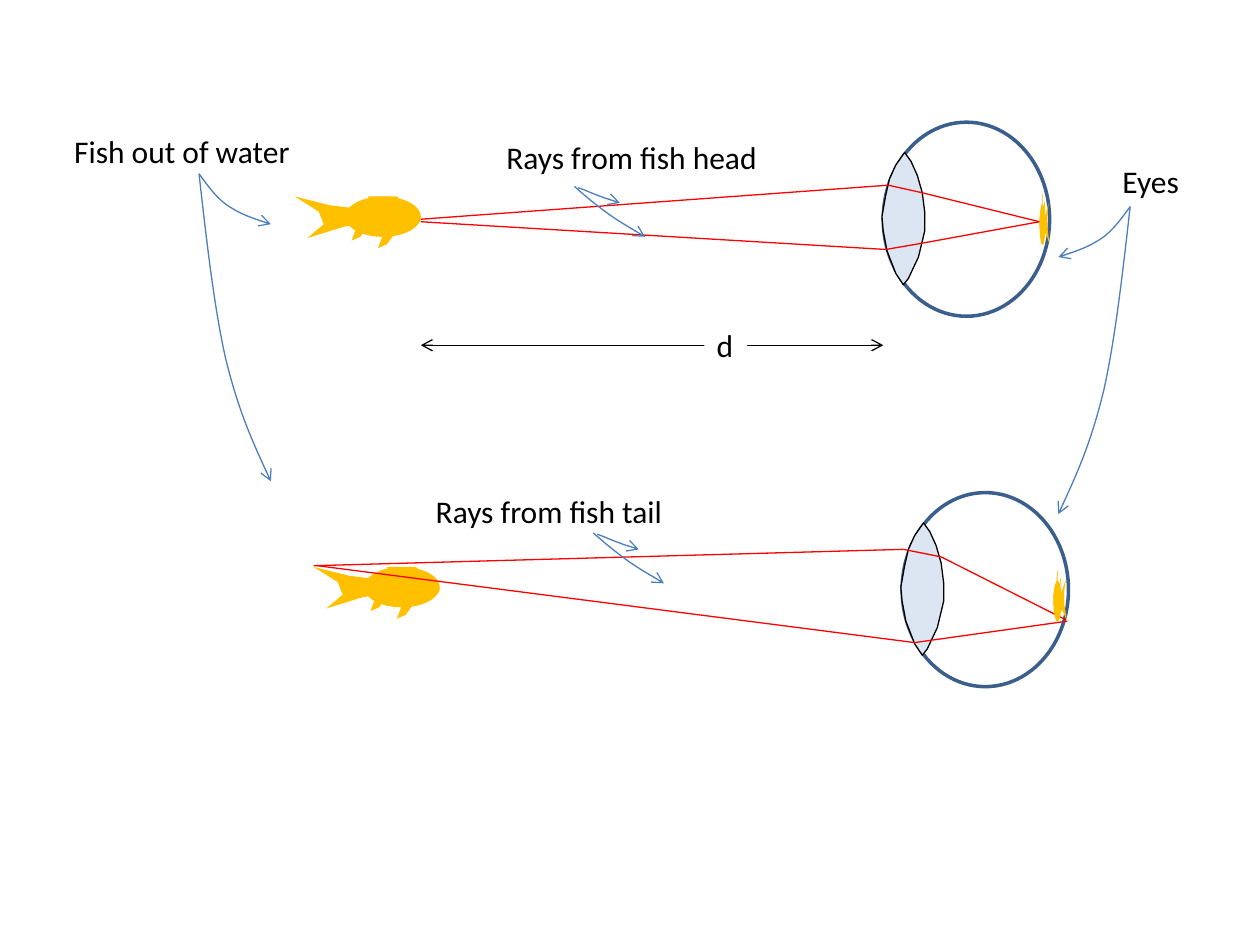
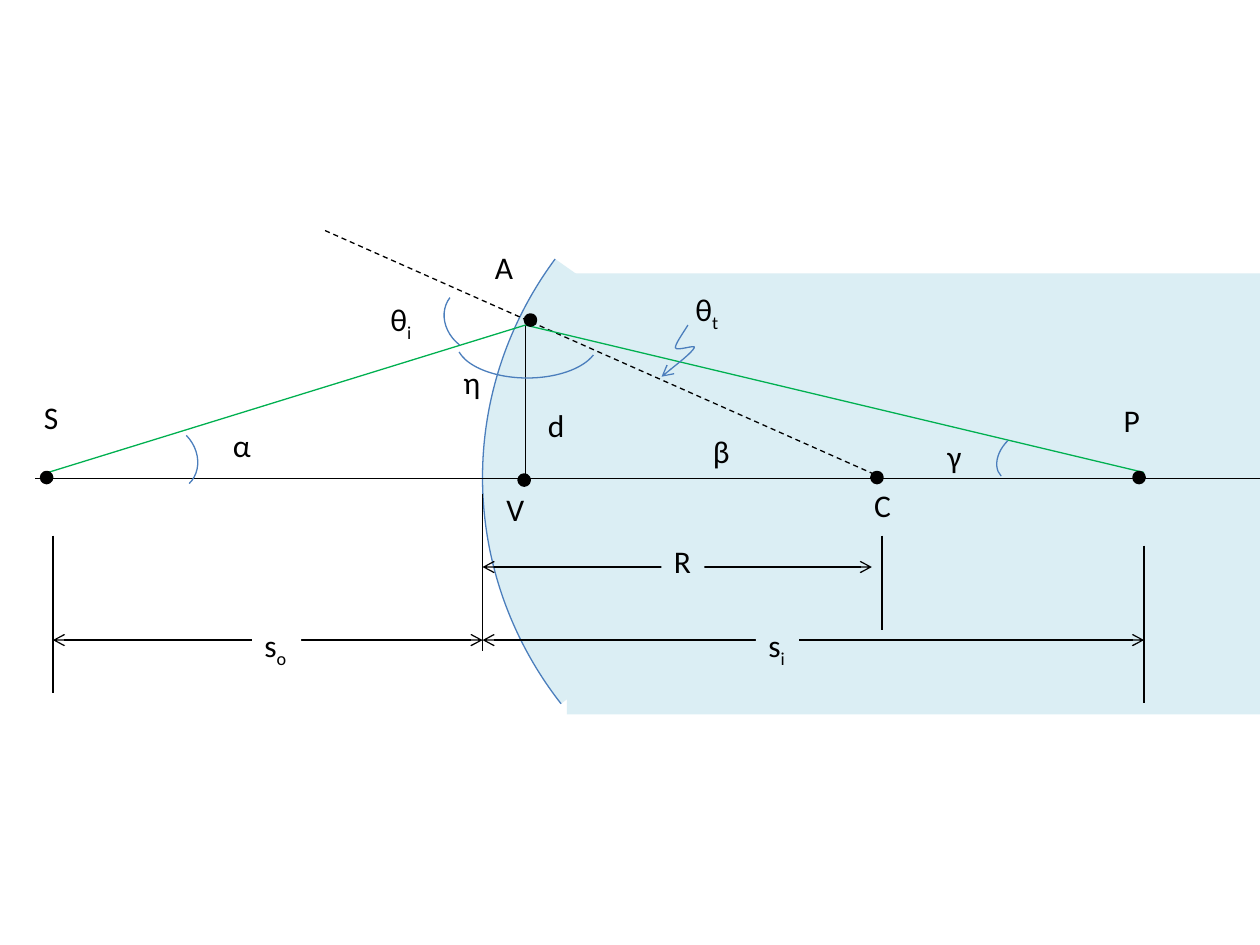
from dataclasses import dataclass
from typing import Optional

from pptx import Presentation
from pptx.dml.color import RGBColor
from pptx.enum.dml import MSO_LINE
from pptx.enum.shapes import MSO_CONNECTOR, MSO_SHAPE
from pptx.oxml.ns import qn
from pptx.oxml.xmlchemy import OxmlElement
from pptx.util import Cm, Pt

STRAIGHT = MSO_CONNECTOR.STRAIGHT
ELLIPSE, RECTANGLE, ARC = MSO_SHAPE.OVAL, MSO_SHAPE.RECTANGLE, MSO_SHAPE.ARC
DASH = MSO_LINE.DASH

FONT = "Calibri"
BLACK, WHITE = "000000", "FFFFFF"
POINTER_BLUE, EYE_BLUE, LENS_BLUE = "4B7EBC", "3A5F8C", "DCE6F2"
MEDIUM_BLUE, FISH_GOLD = "DBEEF4", "FFC000"
RAY_RED, RAY_GREEN = "FF0000", "00B050"

Point = tuple[float, float]
Box = tuple[float, float, float, float]


@dataclass(frozen=True)
class Label:
    text: str
    left: float
    top: float
    width: float = 0.34
    subscript: str = ""
    fill: Optional[str] = None


@dataclass(frozen=True)
class Arc:
    box: Box
    rotation: float = 0
    flip: str = ""
    start: float = 270
    end: float = 0
    fill: Optional[str] = None


@dataclass(frozen=True)
class FishView:
    """Where the fish's mouth edge and back lie, and how it is stretched."""
    head_x: float
    back_y: float
    scale_x: float = 1
    scale_y: float = 1

    def place(self, point: Point) -> Point:
        return (self.head_x + self.scale_x * point[0],
                self.back_y + self.scale_y * point[1])


@dataclass(frozen=True)
class EyeView:
    """One fish seen by one eye, moved by (dx, dy) from the upper one."""
    dx: float
    dy: float
    label: Label
    pointer_shift: Point
    rays: list[list[Point]]
    retina_image: FishView


# ---- Shared drawing tools; positions are in inches ----
def inches(value: float) -> int:
    return Cm(2.54 * value)


def color(hex_code: str) -> RGBColor:
    return RGBColor.from_string(hex_code)


def shift(points: list[Point], dx: float, dy: float) -> list[Point]:
    return [(x + dx, y + dy) for x, y in points]


def style(shape, fill: Optional[str] = None, line: Optional[str] = None, width: float = 0.75) -> None:
    shape.shadow.inherit = False
    if fill:
        shape.fill.solid()
        shape.fill.fore_color.rgb = color(fill)
    else:
        shape.fill.background()
    if line:
        shape.line.color.rgb = color(line)
        shape.line.width = Pt(width)
    else:
        shape.line.fill.background()


def add_arrowheads(shape, *ends: str) -> None:
    for end in ends:
        head = OxmlElement(f"a:{end}")
        head.set("type", "arrow")
        shape.element.spPr.get_or_add_ln().append(head)


def add_preset(shapes, preset, box: Box, fill: Optional[str] = None,
               line: Optional[str] = None, width: float = 0.75):
    shape = shapes.add_shape(preset, *map(inches, box))
    style(shape, fill, line, width)
    return shape


def add_outline(shapes, points: list[Point], closed: bool = True):
    start, *others = [(inches(x), inches(y)) for x, y in points]
    builder = shapes.build_freeform(*start)
    builder.add_line_segments(others, close=closed)
    return builder.convert_to_shape()


def add_pointer(slide, start: Point, offsets: list[Point], mirror: int = 1) -> None:
    """Draw a Bézier arrow; offsets hold the three points of each segment."""
    points = [start] + shift([(mirror * x, y) for x, y in offsets], *start)
    shape = add_outline(slide.shapes, points, closed=False)
    steps = shape.element.findall(".//" + qn("a:lnTo"))
    for index in range(0, len(steps), 3):
        curve = OxmlElement("a:cubicBezTo")
        steps[index].addprevious(curve)
        for step in steps[index:index + 3]:
            curve.append(step[0])
            step.getparent().remove(step)
    style(shape, line=POINTER_BLUE)
    add_arrowheads(shape, "tailEnd")


def add_line(slide, start: Point, end: Point, line: str = BLACK,
             dash=None, two_headed: bool = False) -> None:
    connector = slide.shapes.add_connector(STRAIGHT, *map(inches, start + end))
    connector.line.color.rgb = color(line)
    connector.line.width = Pt(0.75)
    if dash:
        connector.line.dash_style = dash
    if two_headed:
        add_arrowheads(connector, "headEnd", "tailEnd")
    connector.element.spPr.append(OxmlElement("a:effectLst"))


def add_label(slide, label: Label) -> None:
    box = slide.shapes.add_textbox(*map(inches, (label.left, label.top, label.width, 0.4)))
    style(box, label.fill)
    box.text_frame.word_wrap = False
    paragraph = box.text_frame.paragraphs[0]
    paragraph.font.name = FONT
    paragraph.font.size = Pt(18)
    paragraph.font.color.rgb = color(BLACK)
    paragraph.add_run().text = label.text
    if label.subscript:
        run = paragraph.add_run()
        run.text = label.subscript
        run.font.size = Pt(18)
        run._r.get_or_add_rPr().set("baseline", "-25000")


def add_arc(slide, arc: Arc) -> None:
    shape = add_preset(slide.shapes, ARC, arc.box, arc.fill, POINTER_BLUE)
    shape.adjustments[0] = arc.start * 0.6  # 60000ths of a degree over 100000
    shape.adjustments[1] = arc.end * 0.6
    shape.rotation = arc.rotation
    if arc.flip:
        shape.element.spPr.xfrm.set(arc.flip, "1")


# ---- Slide 1: fish and eye ----
# Fish parts are measured from the head (x) and the back (y)
FIN = [(0, 0), (-0.08, 0.11), (-0.15, 0.14), (-0.12, 0.06), (-0.11, 0.01)]
FISH_OUTLINES = [
    [(-0.56, 0.09), (-0.72, 0.07), (-1, 0), (-0.81, 0.12), (-0.77, 0.22),
     (-0.9, 0.33), (-0.61, 0.24), (-0.47, 0.22), (-0.48, 0.09)],
    shift(FIN, -0.19, 0.27),
    shift(FIN, -0.4, 0.21),
    [(-0.13, 0.06), (-0.19, 0), (-0.42, 0), (-0.38, 0.07)],
]
FISH_ELLIPSES = [(-0.6, 0, 0.6, 0.32), (-0.28, 0.1, 0.28, 0.15)]
LENS = [(7.18, 1.21), (7.11, 1.31), (7.06, 1.42), (7.03, 1.55), (7, 1.72), (7.01, 1.83),
        (7.04, 1.99), (7.11, 2.17), (7.17, 2.26), (7.21, 2.21), (7.29, 2.04), (7.34, 1.83),
        (7.34, 1.69), (7.32, 1.53), (7.28, 1.39), (7.23, 1.28)]

SHORT_BEND = [(0.06, 0.08), (0.12, 0.17), (0.21, 0.24), (0.31, 0.31), (0.44, 0.36), (0.57, 0.4)]
LONG_BEND = [(0.06, 0.53), (0.12, 1.06), (0.21, 1.46), (0.31, 1.87), (0.44, 2.16), (0.57, 2.44)]
LOWER_RAY_BEND = [(0.1, 0.09), (0.2, 0.17), (0.3, 0.24), (0.39, 0.3), (0.48, 0.35), (0.56, 0.4)]
UPPER_RAY_BEND = [(0.06, 0.02), (0.12, 0.05), (0.18, 0.07), (0.23, 0.09), (0.28, 0.1), (0.33, 0.12)]

EYE_VIEWS = [
    EyeView(0, 0, Label("Rays from fish head", 3.92, 1.05, 2.34), (0, 0),
            [[(3.34, 1.74), (7.05, 1.47), (7.32, 1.53), (8.25, 1.76)],
             [(3.34, 1.76), (7.03, 1.98), (7.32, 1.93), (8.25, 1.76)]],
            FishView(8.25, 1.94, -0.08, -1)),
    EyeView(0.15, 2.94, Label("Rays from fish tail", 3.36, 3.86, 2.03), (0.15, 2.75),
            [[(2.49, 4.49), (7.17, 4.36), (7.47, 4.42), (8.46, 4.92)],
             [(2.52, 4.49), (7.26, 5.1), (7.4, 5.08), (8.47, 4.93)]],
            FishView(8.36, 4.93, -0.11, -1)),
]


def add_fish(slide, view: FishView) -> None:
    shapes = slide.shapes.add_group_shape().shapes
    for outline in FISH_OUTLINES:
        style(add_outline(shapes, [view.place(point) for point in outline]), FISH_GOLD)
    for left, top, width, height in FISH_ELLIPSES:
        x1, y1 = view.place((left, top))
        x2, y2 = view.place((left + width, top + height))
        box = (min(x1, x2), min(y1, y2), abs(x2 - x1), abs(y2 - y1))
        add_preset(shapes, ELLIPSE, box, FISH_GOLD)


def add_eye_view(slide, view: EyeView) -> None:
    eyeball = (7.01 + view.dx, 0.97 + view.dy, 1.32, 1.54)
    add_preset(slide.shapes, ELLIPSE, eyeball, WHITE, EYE_BLUE, 2)
    style(add_outline(slide.shapes, shift(LENS, view.dx, view.dy)), LENS_BLUE, BLACK)
    add_fish(slide, FishView(3.34 + view.dx, 1.56 + view.dy))
    for ray in view.rays:
        for start, end in zip(ray, ray[1:]):
            add_line(slide, start, end, RAY_RED)
    add_fish(slide, view.retina_image)
    add_label(slide, view.label)
    shift_x, shift_y = view.pointer_shift
    add_pointer(slide, (4.56 + shift_x, 1.48 + shift_y), LOWER_RAY_BEND)
    add_pointer(slide, (4.59 + shift_x, 1.49 + shift_y), UPPER_RAY_BEND)


def build_fish_slide(slide) -> None:
    for view in EYE_VIEWS:
        add_eye_view(slide, view)
    # Distance from fish to eye
    add_line(slide, (3.34, 2.74), (7.01, 2.74), two_headed=True)
    add_label(slide, Label("d", 5.59, 2.54, fill=WHITE))
    # Names with pointers to both fish and both eyes
    add_label(slide, Label("Fish out of water", 0.49, 1, 1.93))
    add_label(slide, Label("Eyes", 8.81, 1.24, 0.65))
    for bend in (SHORT_BEND, LONG_BEND):
        add_pointer(slide, (1.58, 1.38), bend)
        add_pointer(slide, (8.97, 1.64), bend, mirror=-1)


# ---- Slide 2: refraction at a spherical surface ----
DIMENSIONS = [((0.42, 5.08), (3.83, 5.08)), ((3.83, 4.5), (6.92, 4.5)), ((3.83, 5.08), (9.08, 5.08))]
UPRIGHTS = [(0.42, 4.25, 5.5), (3.83, 3.92, 5.17), (9.08, 4.33, 5.58), (7, 4.25, 5), (4.17, 2.58, 3.83)]
SYMBOLS = [
    Label("s", 6, 4.92, subscript="i", fill=MEDIUM_BLUE),
    Label("s", 2, 4.92, 0.39, "o", WHITE),
    Label("R", 5.25, 4.25, fill=MEDIUM_BLUE),
    Label("θ", 3, 2.33, 0.37, "i", WHITE),
    Label("θ", 5.42, 2.25, 0.39, "t", MEDIUM_BLUE),
    Label("d", 4.25, 3.17, fill=MEDIUM_BLUE),
    Label("α", 1.75, 3.33, 0.36),
    Label("β", 5.56, 3.38, fill=MEDIUM_BLUE),
    Label("γ", 7.42, 3.42, 0.31, fill=MEDIUM_BLUE),
    Label("η", 3.58, 2.83, 0.36),
    Label("A", 3.83, 1.92, 0.35, fill=WHITE),
    Label("S", 0.25, 3.11, 0.32, fill=WHITE),
    Label("P", 8.82, 3.13, 0.33, fill=MEDIUM_BLUE),
    Label("C", 6.84, 3.81, fill=MEDIUM_BLUE),
    Label("V", 3.92, 3.84, 0.35, fill=MEDIUM_BLUE),
]
SURFACE = Arc((3.83, 0.83, 6.08, 5.92), flip="flipH", start=324.86, end=36.61, fill=MEDIUM_BLUE)
ANGLES = [
    Arc((1.05, 3.34, 0.5, 0.58), 315.8, "flipV"),
    Arc((3.62, 2.42, 1.13, 0.58), start=11.51, end=171.21),
    Arc((3.55, 2.25, 0.5, 0.58), 127.8, "flipV"),
    Arc((7.88, 3.45, 0.47, 0.33), 315.8, "flipH"),
]
DOTS = [(0.33, 3.75), (9, 3.75), (4.17, 2.5), (6.92, 3.75), (4.12, 3.77)]
SQUIGGLE = [(-0.05, 0.08), (-0.1, 0.15), (-0.1, 0.18), (-0.09, 0.21), (0.07, 0.15),
            (0.05, 0.18), (0.03, 0.22), (-0.21, 0.41), (-0.21, 0.41)]


def build_refraction_slide(slide) -> None:
    # Denser medium with its curved surface
    add_preset(slide.shapes, RECTANGLE, (4.5, 2.17, 5.5, 3.5), MEDIUM_BLUE)
    add_arc(slide, SURFACE)
    # Dimensions and symbols
    for start, end in DIMENSIONS:
        add_line(slide, start, end, two_headed=True)
    for x, top, bottom in UPRIGHTS:
        add_line(slide, (x, top), (x, bottom))
    for symbol in SYMBOLS:
        add_label(slide, symbol)
    # Axis, normal and rays
    add_line(slide, (0.28, 3.8), (10, 3.8))
    add_line(slide, (2.58, 1.83), (6.93, 3.76), dash=DASH)
    for end in ((0.38, 3.75), (9.08, 3.75)):
        add_line(slide, end, (4.17, 2.58), RAY_GREEN)
    # Angles and points
    for angle in ANGLES:
        add_arc(slide, angle)
    add_pointer(slide, (5.46, 2.58), SQUIGGLE)
    for left, top in DOTS:
        add_preset(slide.shapes, ELLIPSE, (left, top, 0.08, 0.08), BLACK, BLACK, 2)


def main() -> None:
    presentation = Presentation()
    presentation.slide_width, presentation.slide_height = Cm(25.4), Cm(19.05)
    blank = presentation.slide_layouts[6]
    for build in (build_fish_slide, build_refraction_slide):
        build(presentation.slides.add_slide(blank))
    presentation.save("out.pptx")


if __name__ == "__main__":
    main()
